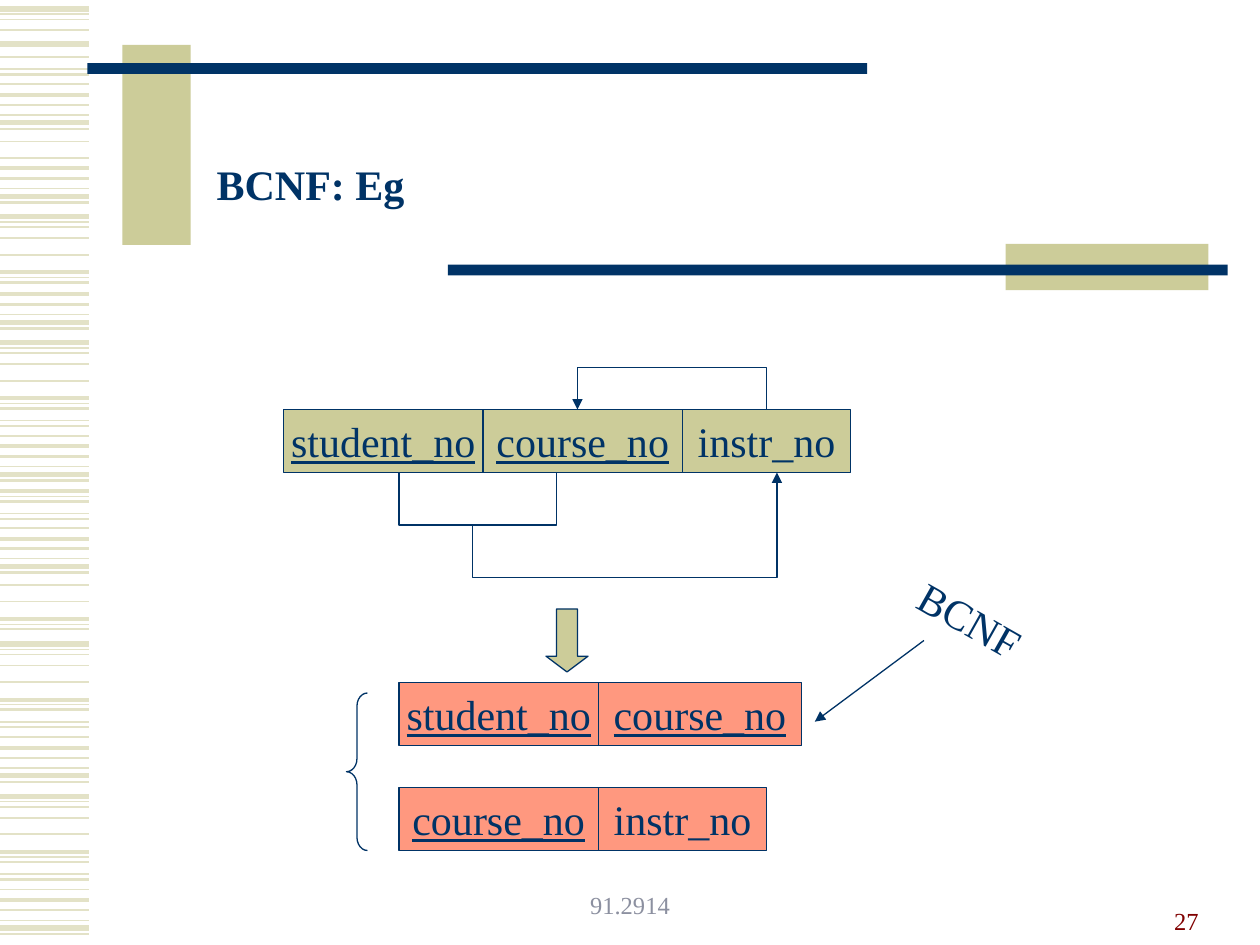
from lxml import etree
from pptx import Presentation
from pptx.dml.color import RGBColor
from pptx.enum import shapes, text
from pptx.oxml import ns
from pptx.util import Pt

FONT = "Times New Roman"
COLORS = {"navy": "003366", "khaki": "CCCC99", "stripe": "E3E2C7",
          "coral": "FF3300", "grey": "8C90A0", "maroon": "800000"}
EDGE = 0.75

# Stripe patterns: (offset down, line weight)
LONG = [(0, 3), (3, 0.75), (6, 1), (12.25, 1), (21.75, 1), (31.75, 2.25),
        (34.75, 0.75), (37.5, 1.5), (44.5, 0.75), (47.5, 1.5)]
SHORT = [(0, 1), (6, 2.25), (11.75, 1.5), (17.5, 0.75), (22, 3), (25.5, 1.5)]
# Where each pattern, or a part of it, starts
STRIPE_BANDS = [
    (-5, LONG[7:]), (3.2, SHORT[4:5]), (5.1, LONG[:4]), (48.2, SHORT),
    (59.1, LONG[4:5]), (90.1, SHORT), (123.9, LONG[:8]), (162.2, SHORT[1:]),
    (195.85, LONG), (249, SHORT), (249, LONG[5:]), (301.8, SHORT),
    (322, LONG[3:8]), (368, LONG), (421.3, SHORT), (455, LONG), (508.3, SHORT),
]

CELL_HEIGHT = 36
WIDTHS = {"student_no": 114, "course_no": 114, "instr_no": 96}


def rgb(color):
    return RGBColor.from_string(COLORS[color])


def points(*values):
    return [Pt(value) for value in values]


def style_line(line, color="navy", weight=EDGE):
    line.color.rgb = rgb(color)
    line.width = Pt(weight)


def add_arrowhead(shape):
    line = shape._element.spPr.find(ns.qn("a:ln"))
    etree.SubElement(line, ns.qn("a:tailEnd"), type="triangle")


def add_line(slide, start, end, color="navy", weight=EDGE):
    line = slide.shapes.add_connector(
        shapes.MSO_CONNECTOR.STRAIGHT, *points(*start, *end))
    style_line(line.line, color, weight)
    etree.SubElement(line._element.spPr, ns.qn("a:effectLst"))
    return line


def add_preset(slide, kind, box, fill=None, outlined=True):
    shape = slide.shapes.add_shape(kind, *points(*box))
    shape.shadow.inherit = False
    if fill:
        shape.fill.solid()
        shape.fill.fore_color.rgb = rgb(fill)
    else:
        shape.fill.background()
    if outlined:
        style_line(shape.line)
    else:
        shape.line.fill.background()
    return shape


def write(shape, words, size=24, color="navy", align="LEFT", anchor="TOP", wrap=True):
    frame = shape.text_frame
    frame.word_wrap = wrap
    frame.auto_size = text.MSO_AUTO_SIZE.NONE
    frame.vertical_anchor = getattr(text.MSO_ANCHOR, anchor)
    frame.text = words
    paragraph = frame.paragraphs[0]
    paragraph.alignment = getattr(text.PP_ALIGN, align)
    font = paragraph.font
    font.name, font.size = FONT, Pt(size)
    font.color.rgb = rgb(color)
    return paragraph


def add_text(slide, box, words, **style):
    label = slide.shapes.add_textbox(*points(*box))
    write(label, words, **style)
    return label


def add_relation(slide, left, top, columns, fill, keys, widths=WIDTHS, opacity=None):
    """Draw a row of attribute cells, with the key attributes underlined."""
    for column in columns:
        width = widths[column]
        cell = add_preset(slide, shapes.MSO_SHAPE.RECTANGLE,
                          (left, top, width, CELL_HEIGHT), fill)
        if opacity:
            color = cell._element.spPr.find(ns.qn("a:solidFill"))[0]
            etree.SubElement(color, ns.qn("a:alpha"), val=str(opacity * 1000))
        name = write(cell, column, align="CENTER", anchor="MIDDLE", wrap=False)
        if column in keys:
            name.runs[0].font.underline = True
        left += width


def add_dependency(slide, route, arrow=True):
    builder = slide.shapes.build_freeform(*route[0], scale=12700.0)
    builder.add_line_segments(route[1:], close=False)
    path = builder.convert_to_shape()
    path.shadow.inherit = False
    path.fill.background()
    style_line(path.line)
    if arrow:
        add_arrowhead(path)


def add_decoration(slide):
    for top, pattern in STRIPE_BANDS:
        for offset, weight in pattern:
            y = top + offset
            add_line(slide, (0, y), (51, y), "stripe", weight)
    for box, fill in [((70, 25.7, 39, 114.3), "khaki"),
                      ((50, 36, 445.6, 6.2), "navy"),
                      ((574.6, 139.4, 116, 26.4), "khaki"),
                      ((256, 151.2, 445.6, 6.2), "navy")]:
        add_preset(slide, shapes.MSO_SHAPE.RECTANGLE, box, fill, outlined=False)


def add_title(slide):
    title = slide.shapes.title
    title.left, title.top, title.width, title.height = points(116.6, 87, 312, 36)
    write(title, "BCNF: Eg").font.bold = True


def add_diagram(slide):
    keys = {"student_no", "course_no"}
    add_relation(slide, 228, 450, ["course_no", "instr_no"], "coral",
                 {"course_no"}, opacity=50)
    add_relation(slide, 228, 390, ["student_no", "course_no"], "coral", keys,
                 widths={**WIDTHS, "course_no": 116}, opacity=50)
    add_relation(slide, 162, 234, WIDTHS, "khaki", keys)

    add_dependency(slide, [(228, 270), (228, 300), (318, 300), (318, 270)], arrow=False)
    add_dependency(slide, [(270, 300), (270, 330), (444, 330), (444, 270)])
    add_dependency(slide, [(438, 234), (438, 210), (330, 210), (330, 234)])

    step = add_preset(slide, shapes.MSO_SHAPE.DOWN_ARROW, (312, 348, 24, 36), "khaki")
    step.adjustments[1] = 0.375
    brace = add_preset(slide, shapes.MSO_SHAPE.LEFT_BRACE, (198, 396, 12, 90))
    brace.adjustments[0] = 0.625

    add_text(slide, (516, 336, 77, 36), "BCNF", wrap=False).rotation = 29.4
    add_arrowhead(add_line(slide, (528, 366), (465.6, 412.4)))


def main():
    deck = Presentation()
    deck.slide_width, deck.slide_height = points(720, 540)
    slide = deck.slides.add_slide(deck.slide_layouts[5])
    add_decoration(slide)
    add_text(slide, (246, 500.4, 228, 28.8), "91.2914",
             size=14, color="grey", align="CENTER", anchor="BOTTOM")
    add_text(slide, (519, 502, 173, 36), "27",
             size=14, color="maroon", align="RIGHT", anchor="BOTTOM")
    add_diagram(slide)
    add_title(slide)
    deck.save("out.pptx")


if __name__ == "__main__":
    main()
